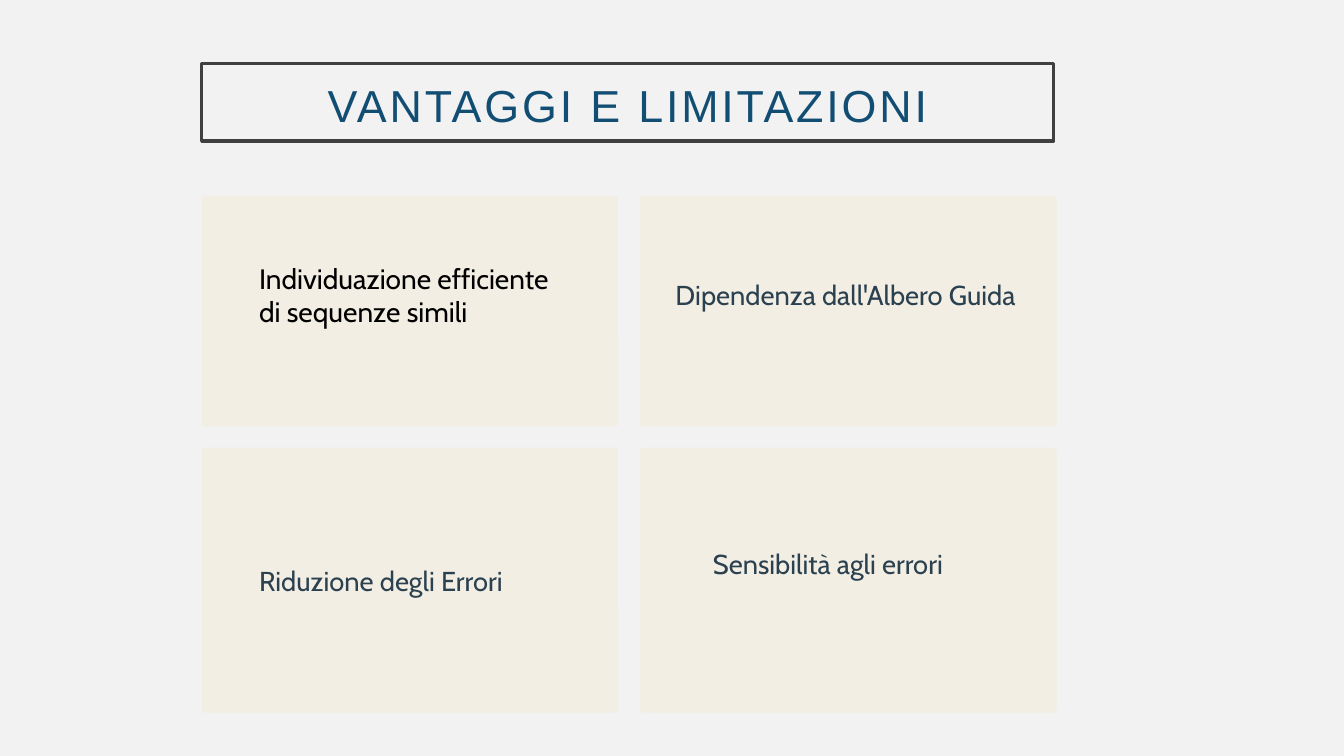
from pptx import Presentation
from pptx.dml.color import RGBColor
from pptx.enum.shapes import MSO_SHAPE as Shape
from pptx.enum.text import MSO_ANCHOR as Anchor, MSO_AUTO_SIZE as AutoSize, PP_ALIGN as Align
from pptx.util import Inches, Pt

BACKGROUND = RGBColor(0xF2, 0xF2, 0xF2)
CARD_FILL = RGBColor(0xF3, 0xEE, 0xE3)
TITLE_BLUE = RGBColor(0x12, 0x4E, 0x73)
TITLE_BORDER = RGBColor(0x40, 0x40, 0x40)
BLACK = RGBColor(0x00, 0x00, 0x00)
SLATE = RGBColor(0x2B, 0x41, 0x50)

CARD_WIDTH = 4.13
CARD_RADIUS = 0.03
COLUMNS = (2, 6.35)
ROWS = ((1.94, 2.29), (4.44, 2.63))  # top, height

# left, top, width, height, size, colour, lines
POINTS = (
    (2.57, 2.59, 3.13, 0.81, 20, BLACK, ("Individuazione efficiente", "di sequenze simili")),
    (6.7, 2.75, 3.7, 0.68, 19.5, SLATE, ("Dipendenza dall'Albero Guida",)),
    (2.57, 5.59, 2.74, 0.34, 19.5, SLATE, ("Riduzione degli Errori",)),
    (7.07, 5.42, 3.7, 0.68, 19.5, SLATE, ("Sensibilità agli errori",)),
)


class SlideBuilder:
    title_font = "Arial"
    body_font = "Cabin"

    def __init__(self, slide):
        self.slide = slide
        background = slide.background.fill
        background.solid()
        background.fore_color.rgb = BACKGROUND

    def prepare_frame(self, frame):
        """Remove the insets and anchor wrapped text at the top."""
        frame.margin_left = frame.margin_right = 0
        frame.margin_top = frame.margin_bottom = 0
        frame.word_wrap = True
        frame.auto_size = AutoSize.NONE
        frame.vertical_anchor = Anchor.TOP

    def add_run(self, paragraph, text, font_name, size, color, leading):
        paragraph.line_spacing = Pt(leading)
        paragraph.space_before = paragraph.space_after = Pt(0)
        run = paragraph.add_run()
        run.text = text
        run.font.name = font_name
        run.font.size = Pt(size)
        run.font.color.rgb = color
        return run

    def title(self, text, left, top, width, height):
        heading = self.slide.shapes.title
        heading.left, heading.top = Inches(left), Inches(top)
        heading.width, heading.height = Inches(width), Inches(height)
        heading.line.color.rgb = TITLE_BORDER
        heading.line.width = Pt(2.5)
        self.prepare_frame(heading.text_frame)
        paragraph = heading.text_frame.paragraphs[0]
        paragraph.alignment = Align.CENTER
        run = self.add_run(paragraph, text, self.title_font, 32, TITLE_BLUE, 48.5)
        run.font._element.set("spc", "200")

    def card(self, left, top, width, height):
        card = self.slide.shapes.add_shape(
            Shape.ROUNDED_RECTANGLE, Inches(left), Inches(top), Inches(width), Inches(height))
        card.adjustments[0] = CARD_RADIUS / min(width, height)
        card.shadow.inherit = False
        card.fill.solid()
        card.fill.fore_color.rgb = CARD_FILL
        card.line.fill.background()

    def point(self, left, top, width, height, size, color, lines):
        frame = self.slide.shapes.add_textbox(
            Inches(left), Inches(top), Inches(width), Inches(height)).text_frame
        self.prepare_frame(frame)
        for index, line in enumerate(lines):
            paragraph = frame.add_paragraph() if index else frame.paragraphs[0]
            paragraph.alignment = Align.LEFT
            self.add_run(paragraph, line, self.body_font, size, color, 24)


def main():
    deck = Presentation()
    deck.slide_width, deck.slide_height = Inches(13.33), Inches(7.5)
    title_only = deck.slide_layouts[5]
    builder = SlideBuilder(deck.slides.add_slide(title_only))

    builder.title("VANTAGGI E LIMITAZIONI", 2, 0.63, 8.45, 0.77)
    for top, height in ROWS:
        for left in COLUMNS:
            builder.card(left, top, CARD_WIDTH, height)
    for point in POINTS:
        builder.point(*point)

    deck.save("out.pptx")


if __name__ == "__main__":
    main()
